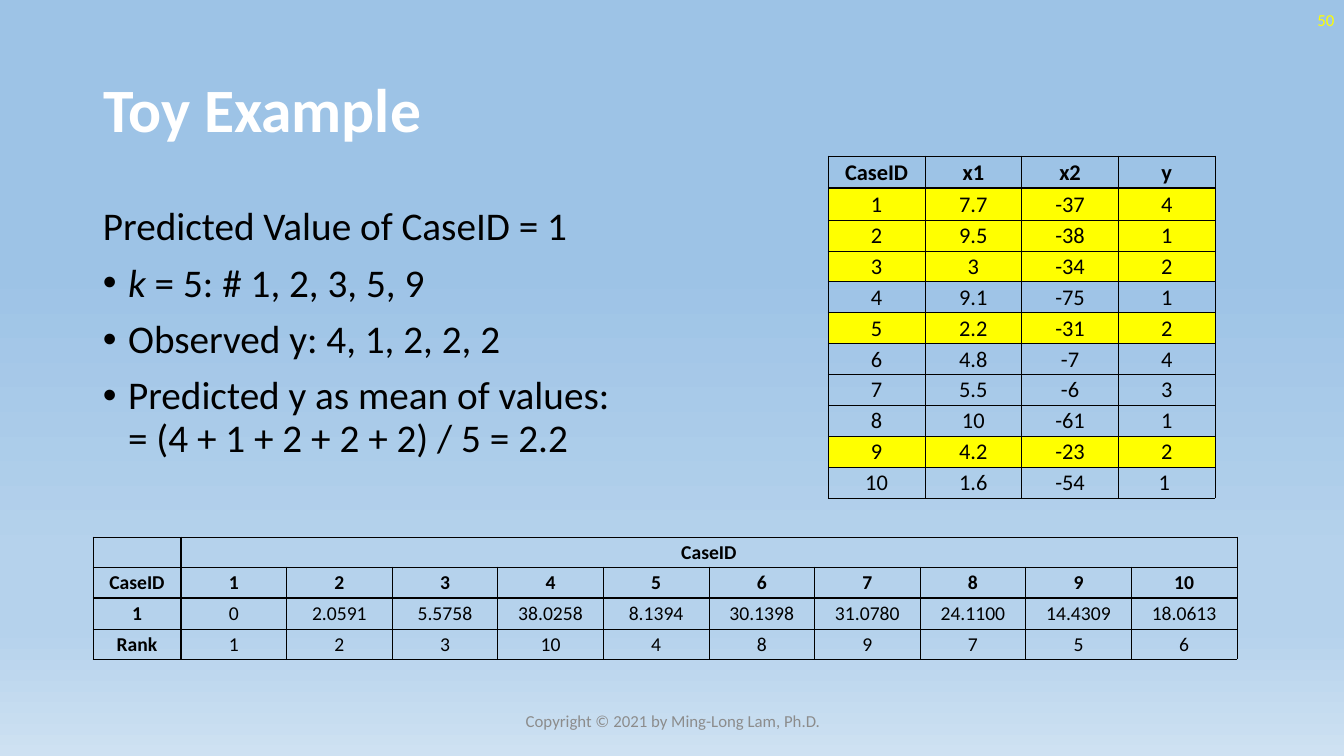
from lxml import etree
from pptx import Presentation, util as u
from pptx.dml.color import RGBColor
from pptx.enum import text
from pptx.oxml.ns import qn

PX = 914400 / 100.8
FONT = "Calibri"
BLACK, WHITE, YELLOW, GREY = "000000", "FFFFFF", "FFFF00", "8C8C8C"
LEFT, CENTER, RIGHT = text.PP_ALIGN.LEFT, text.PP_ALIGN.CENTER, text.PP_ALIGN.RIGHT
THIN, THICK = 0.5, 2
MIDDLE = text.MSO_ANCHOR.MIDDLE
STOPS = [(35, "9DC3E6"), (74, "B5D2EC"), (83, "B5D2EC"), (100, "CEE1F2")]

CASES = [
    ["CaseID", "x1", "x2", "y"],
    ["1", "7.7", "-37", "4"],
    ["2", "9.5", "-38", "1"],
    ["3", "3", "-34", "2"],
    ["4", "9.1", "-75", "1"],
    ["5", "2.2", "-31", "2"],
    ["6", "4.8", "-7", "4"],
    ["7", "5.5", "-6", "3"],
    ["8", "10", "-61", "1"],
    ["9", "4.2", "-23", "2"],
    ["10", "1.6", "-54", "1 "],
]
NEIGHBOURS = {1, 2, 3, 5, 9}
DISTANCES = [
    ["", "CaseID"] + [""] * 9,
    ["CaseID"] + [str(case) for case in range(1, 11)],
    ["1", "0", "2.0591", "5.5758", "38.0258", "8.1394", "30.1398",
     "31.0780", "24.1100", "14.4309", "18.0613"],
    ["Rank", "1", "2", "3", "10", "4", "8", "9", "7", "5", "6"],
]


def px(n):
    """Turn picture pixels into EMU."""
    return u.Emu(round(n * PX))


def rgb(value):
    """Turn a hex string into a colour."""
    return RGBColor.from_string(value)


def apply(obj, **formats):
    """Set attributes from a dict of format values."""
    for name, value in formats.items():
        setattr(obj, name, value)


def add_run(p, words, size, color, **formats):
    """Add one formatted run to a paragraph."""
    r = p.add_run()
    r.text = words
    apply(r.font, name=FONT, size=u.Pt(size), **formats)
    r.font.color.rgb = rgb(color)


def place(sp, box, anchor=MIDDLE):
    """Move a text shape, set its frame up and return the frame."""
    apply(sp, **dict(zip(("left", "top", "width", "height"), map(px, box))))
    apply(sp.text_frame, word_wrap=True, vertical_anchor=anchor,
          auto_size=text.MSO_AUTO_SIZE.NONE)
    return sp.text_frame


def add_label(s, words, box, align, color):
    """Add a small one-line text box."""
    tf = place(s.shapes.add_textbox(0, 0, 0, 0), box)
    tf.paragraphs[0].alignment = align
    add_run(tf.paragraphs[0], words, 12, color)


def set_background(s):
    """Fill the background with a vertical gradient."""
    fill = s.background.fill
    fill.gradient()
    fill.gradient_angle = 270
    stops = s.element.find(".//" + qn("a:gsLst"))
    for old in list(stops):
        stops.remove(old)
    for percent, color in STOPS:
        gs = etree.SubElement(stops, qn("a:gs"), pos=str(percent * 1000))
        etree.SubElement(gs, qn("a:srgbClr"), val=color)


def set_title(s, words):
    """Move and format the title placeholder."""
    tf = place(s.shapes.title, (93, 40, 1159, 146))
    p = tf.paragraphs[0]
    apply(p, alignment=LEFT, line_spacing=0.9)
    add_run(p, words, 44, WHITE, bold=True)


def add_body(s, paragraphs, box):
    """Add the two-column body text; every paragraph but the first has a bullet."""
    tf = place(s.shapes.add_textbox(0, 0, 0, 0), box, text.MSO_ANCHOR.TOP)
    tf._txBody.bodyPr.set("numCol", "2")
    for i, runs in enumerate(paragraphs):
        p = tf.add_paragraph() if i else tf.paragraphs[0]
        apply(p, alignment=LEFT, line_spacing=0.9, space_before=u.Pt(10))
        if i:
            pPr = p._p.get_or_add_pPr()
            pPr.set("marL", str(u.Inches(0.25)))
            pPr.set("indent", str(-u.Inches(0.25)))
            etree.SubElement(pPr, qn("a:buFont"), typeface="Arial")
            etree.SubElement(pPr, qn("a:buChar"), char="•")
        for words, italic in runs:
            for n, line in enumerate(words.split("\n")):
                if n:
                    p.add_line_break()
                add_run(p, line, 28, BLACK, italic=italic)


def set_borders(cell, widths):
    """Draw the left, right, top and bottom borders of a cell."""
    tcPr = cell._tc.get_or_add_tcPr()
    for side, width in zip("LRTB", widths):
        ln = etree.SubElement(tcPr, qn("a:ln" + side), w=str(u.Pt(width)))
        fill = etree.SubElement(ln, qn("a:solidFill"))
        etree.SubElement(fill, qn("a:srgbClr"), val=BLACK)


def fill_cell(cell, words, size, bold, color):
    """Write a cell's text and set its fill."""
    apply(cell, vertical_anchor=MIDDLE, margin_left=u.Inches(0.01),
          margin_right=u.Inches(0.01), margin_top=u.Inches(0.01), margin_bottom=0)
    p = cell.text_frame.paragraphs[0]
    p.alignment = CENTER
    if words:
        add_run(p, words, size, BLACK, bold=bold)
    else:
        etree.SubElement(p._p, qn("a:endParaRPr"), sz=str(size * 100))
    if color:
        cell.fill.solid()
        cell.fill.fore_color.rgb = rgb(color)
    else:
        cell.fill.background()


def add_grid(s, rows, at, widths, heights, size, head_rows, head_cols=0, marked=()):
    """Add a table with thick rules after its heading rows and columns."""
    box = (*at, sum(widths), sum(heights))
    table = s.shapes.add_table(len(rows), len(widths), *map(px, box)).table
    apply(table, first_row=False, horz_banding=False)
    for column, width in zip(table.columns, widths):
        column.width = px(width)
    for i, (values, height) in enumerate(zip(rows, heights)):
        table.rows[i].height = px(height)
        for j, words in enumerate(values):
            cell = table.cell(i, j)
            edges = [(j, head_cols), (j + 1, head_cols), (i, head_rows), (i + 1, head_rows)]
            set_borders(cell, [THICK if edge == head > 0 else THIN for edge, head in edges])
            bold = i < head_rows or j < head_cols
            fill_cell(cell, words, size, bold, YELLOW if i in marked else None)
    return table


def main():
    """Build the slide and save it."""
    prs = Presentation()
    apply(prs, slide_width=u.Inches(13.33), slide_height=u.Inches(7.5))
    s = prs.slides.add_slide(prs.slide_layouts[5])
    set_background(s)
    set_title(s, "Toy Example")
    add_body(s, [
        [("Predicted Value of CaseID = 1", False)],
        [("k", True), (" = 5: # 1, 2, 3, 5, 9", False)],
        [("Observed y: 4, 1, 2, 2, 2", False)],
        [("Predicted y as mean of values:\n= (4 + 1 + 2 + 2 + 2) / 5 = 2.2", False)],
    ], (93, 202, 1159, 323))
    add_label(s, "50", (1042, 0, 302, 40), RIGHT, YELLOW)
    distances = add_grid(s, DISTANCES, (93, 537), [88] + [1056 / 10] * 10,
                         [30, 31, 31, 30], 14, head_rows=2, head_cols=1)
    distances.cell(0, 1).merge(distances.cell(0, 10))
    add_grid(s, CASES, (828, 156), [387 / 4] * 4, [32, 32] + [278 / 9] * 9,
             16, head_rows=1, marked=NEIGHBOURS)
    add_label(s, "Copyright © 2021 by Ming-Long Lam, Ph.D.", (446, 701, 454, 40), CENTER, GREY)
    prs.save("out.pptx")


main()
